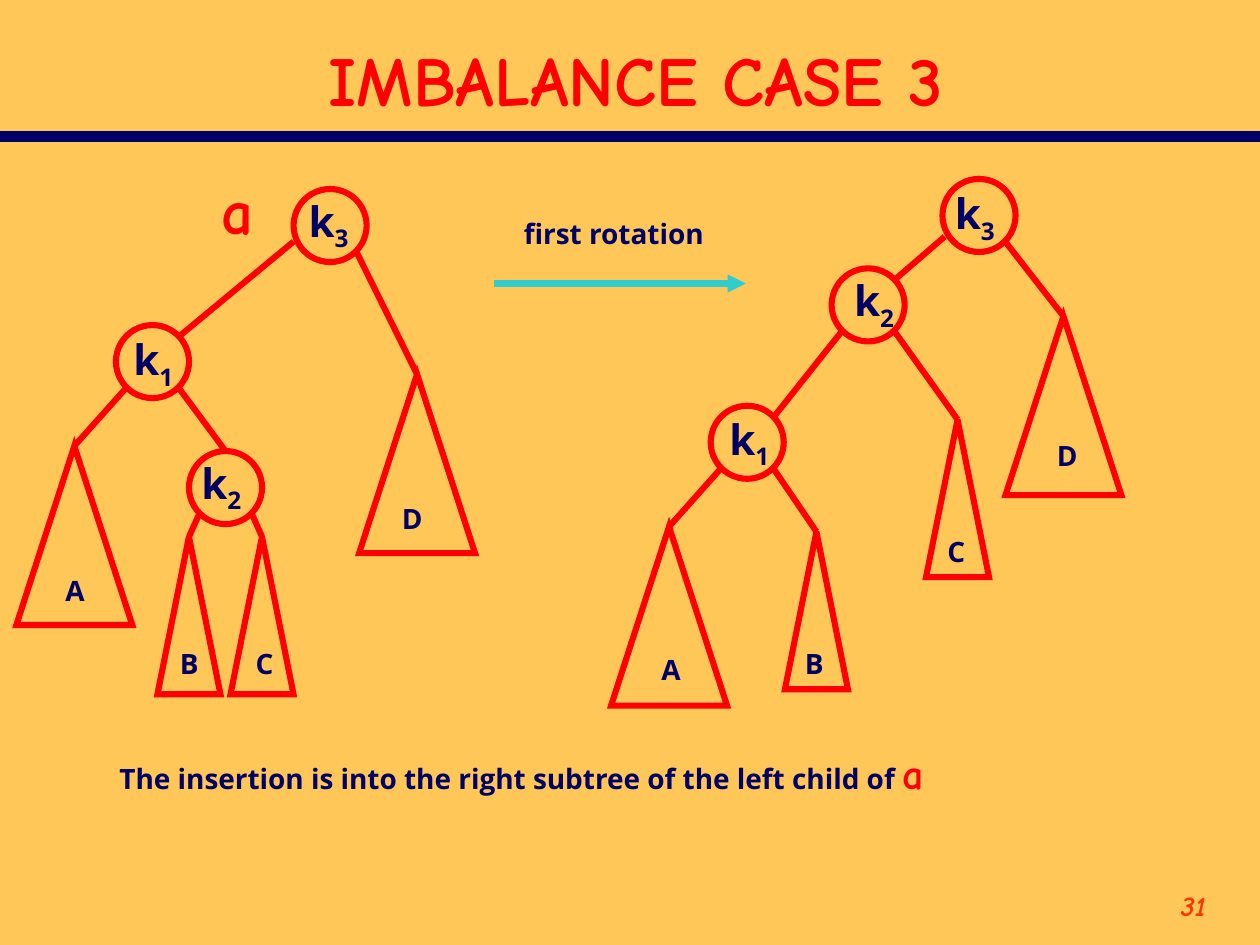
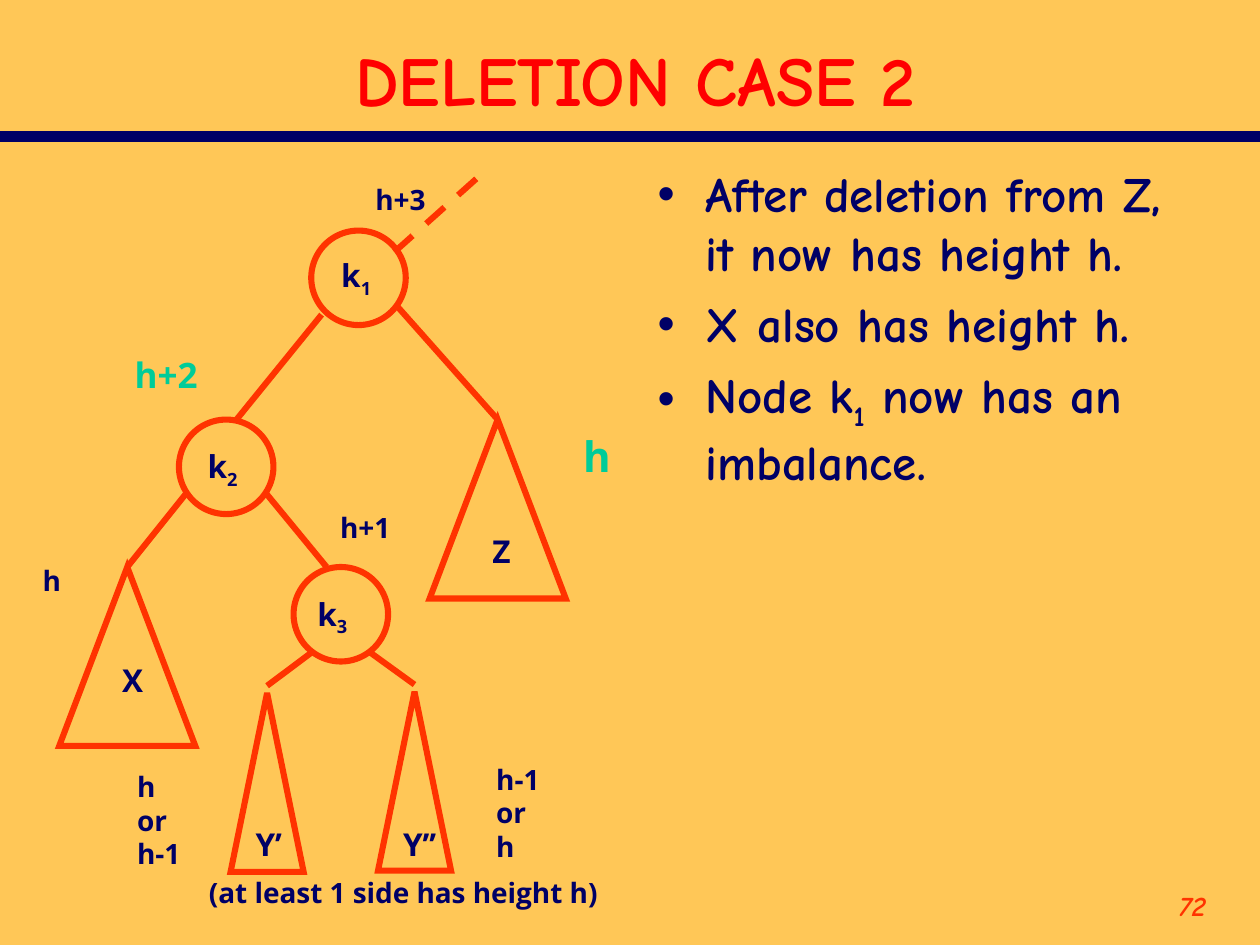
from dataclasses import dataclass

from lxml.etree import SubElement
from pptx import Presentation
from pptx.dml.color import RGBColor
from pptx.enum.dml import MSO_LINE
from pptx.enum.shapes import MSO_CONNECTOR, MSO_SHAPE
from pptx.enum.text import MSO_ANCHOR, MSO_AUTO_SIZE, PP_ALIGN
from pptx.oxml.ns import qn
from pptx.util import Inches, Pt

SAND = RGBColor(0xFF, 0xC7, 0x57)
NAVY = RGBColor(0x00, 0x00, 0x66)
RED = RGBColor(0xFF, 0x00, 0x00)
ORANGE = RGBColor(0xFF, 0x33, 0x00)
TURQUOISE = RGBColor(0x33, 0xCC, 0xCC)
GREEN = RGBColor(0x00, 0xCC, 0x99)

HAND = "Comic Neue"
SANS = "Open Sans"
COLUMNS, ROWS = 100, 75
WIDTH, HEIGHT = Inches(10), Inches(7.5)
TITLE_ONLY, TITLE_AND_BODY = 5, 1
FOOT_LEFT, FOOT_RIGHT = (0.14, 0.86), (0.86, 0.86)
SHOULDER_RIGHT = (0.86, 0.16)


@dataclass
class Region:
    left: float
    top: float
    columns: float
    rows: float

    def inner(self, left, top, columns, rows):
        return Region(self.left + left, self.top + top, columns, rows)

    def point(self, share):
        return self.left + share[0] * self.columns, self.top + share[1] * self.rows

    def emu(self):
        return (*to_emu(self.left, self.top), *to_emu(self.columns, self.rows))


def to_emu(column, row):
    return round(column * WIDTH / COLUMNS), round(row * HEIGHT / ROWS)


def write(frame, paragraphs, size=16, font=SANS, color=NAVY, bold=True,
          italic=False, align=PP_ALIGN.LEFT, gap=0):
    for index, runs in enumerate(paragraphs):
        paragraph = frame.paragraphs[0] if index == 0 else frame.add_paragraph()
        paragraph.alignment = align
        paragraph.space_before = Pt(gap if index else 0)
        for piece in [runs] if isinstance(runs, str) else runs:
            words, changes = (piece, {}) if isinstance(piece, str) else piece
            run = paragraph.add_run()
            run.text = words
            run.font.size = Pt(changes.get("size", size))
            run.font.name = changes.get("font", font)
            run.font.color.rgb = changes.get("color", color)
            run.font.bold = bold
            run.font.italic = italic
            if changes.get("subscript"):
                run._r.get_or_add_rPr().set("baseline", "-25000")


def indexed(letter, index):
    return [letter, (index, {"subscript": True})]


def add_label(slide, region, *paragraphs, **style):
    frame = slide.shapes.add_textbox(*region.emu()).text_frame
    frame.word_wrap = True
    write(frame, paragraphs, **style)


def add_line(slide, start, end, color, weight=3.5):
    line = slide.shapes.add_connector(
        MSO_CONNECTOR.STRAIGHT, *to_emu(*start), *to_emu(*end))
    line.line.color.rgb = color
    line.line.width = Pt(weight)
    SubElement(line._element.spPr, qn("a:effectLst"))
    return line


def add_outline(slide, preset, region, color):
    outline = slide.shapes.add_shape(preset, *region.emu())
    outline.shadow.inherit = False
    outline.fill.background()
    outline.line.color.rgb = color
    outline.line.width = Pt(3.5)
    SubElement(outline.line._get_or_add_ln(), qn("a:miter"), lim="800000")
    return outline


def place(placeholder, region, anchor):
    placeholder.left, placeholder.top, placeholder.width, placeholder.height = region.emu()
    frame = placeholder.text_frame
    frame.auto_size = MSO_AUTO_SIZE.NONE
    frame.word_wrap = True
    frame.vertical_anchor = anchor
    return frame


def start_slide(deck, layout, heading, number):
    slide = deck.slides.add_slide(deck.slide_layouts[layout])
    add_line(slide, (0, 10.83), (COLUMNS, 10.83), NAVY, weight=6)
    title = place(slide.shapes.title, Region(4.2, 2.5, 92.5, 7.5), MSO_ANCHOR.MIDDLE)
    write(title, [heading], size=40, font=HAND, color=RED, align=PP_ALIGN.CENTER)
    add_label(slide, Region(86.7, 70, 10, 5), number, font=HAND, color=ORANGE,
              italic=True, align=PP_ALIGN.RIGHT)
    return slide


def add_tree(slide, region, color, node_side, nodes, subtrees, edges, node_size, leaf_size):
    parts = {}
    for index, (left, top, shift, drop) in nodes.items():
        circle = region.inner(left, top, node_side, node_side)
        parts[index] = circle, add_outline(slide, MSO_SHAPE.OVAL, circle, color)
        add_label(slide, circle.inner(shift, drop, 5.8, 5.6),
                  indexed("k", index), size=node_size)
    for letter, (left, top, columns, rows, shift, drop) in subtrees.items():
        triangle = region.inner(left, top, columns, rows)
        parts[letter] = triangle, add_outline(
            slide, MSO_SHAPE.ISOSCELES_TRIANGLE, triangle, color)
        add_label(slide, triangle.inner(shift, drop, 5.5, 4), letter, size=leaf_size)
    for parent, start, child, *end in edges:
        parent_region = parts[parent][0]
        child_region, child_outline = parts[child]
        target = end[0] if end else (0.5, 0)
        edge = add_line(slide, parent_region.point(start), child_region.point(target), color)
        if not end:
            edge.end_connect(child_outline, 0)


def add_rotation_arrow(slide, region):
    add_label(slide, region.inner(1.4, 0, 18, 3.7), "first rotation")
    arrow = add_line(slide, region.point((0, 1)), region.point((1, 1)), TURQUOISE)
    SubElement(arrow.line._get_or_add_ln(), qn("a:tailEnd"), type="triangle")


def add_bullets(slide, region, points):
    frame = place(slide.placeholders[1], region, MSO_ANCHOR.TOP)
    write(frame, points, size=28, font=HAND, gap=7)
    for paragraph in frame.paragraphs:
        properties = paragraph._p.get_or_add_pPr()
        properties.set("marL", str(Inches(0.38)))
        properties.set("indent", str(-Inches(0.38)))
        bullet_color = SubElement(properties, qn("a:buClr"))
        SubElement(bullet_color, qn("a:srgbClr"), val=str(NAVY))
        SubElement(properties, qn("a:buChar"), char="•")


def add_heights(slide, region):
    for left, top, height, style in (
        (7.7, 14.6, "h+2", {"size": 20, "color": GREEN}),
        (43.3, 20.7, "h", {"size": 24, "color": GREEN}),
        (26.8, 1, "h+3", {}),
        (0.4, 31.2, "h", {}),
        (24, 27, "h+1", {}),
    ):
        add_label(slide, region.inner(left, top, 7.5, 4), height, **style)
    for left, top, choices in (
        (7.9, 47.6, ("h", "or", "h-1")),
        (36.4, 47, ("h-1", "or", "h")),
    ):
        add_label(slide, region.inner(left, top, 6, 9), *choices)
    add_label(slide, region.inner(13.6, 56, 36, 3.7), "(at least 1 side has height h)")


def build_imbalance(deck):
    slide = start_slide(deck, TITLE_ONLY, "IMBALANCE CASE 3", "31")
    before, after = Region(1, 13, 37, 43), Region(48, 14, 41, 43)
    wide, narrow = (9.2, 14.2), (5, 12.5)
    add_tree(
        slide, before, RED, 5.8,
        nodes={"3": (22.3, 2, 0.2, 0), "1": (8.2, 12.8, 0.4, 0.2), "2": (14, 22.8, 0, 0)},
        subtrees={
            "A": (0.3, 22.4, *wide, 2.9, 9.6), "D": (27.5, 16.7, *wide, 2.4, 9.6),
            "B": (11.5, 29.6, *narrow, 0.8, 8.2), "C": (17.3, 29.6, *narrow, 1, 8.2)},
        edges=[
            ("3", (0, 0.72), "1", SHOULDER_RIGHT), ("3", FOOT_RIGHT, "D"),
            ("1", FOOT_LEFT, "A"), ("1", FOOT_RIGHT, "2"),
            ("2", FOOT_LEFT, "B"), ("2", FOOT_RIGHT, "C")],
        node_size=24, leaf_size=16)
    add_label(slide, before.inner(15.6, 0.1, 5, 7), "a", size=36, font=HAND, color=RED)
    add_rotation_arrow(slide, Region(39.2, 16.7, 20, 5.8))
    add_tree(
        slide, after, RED, 5.8,
        nodes={"3": (26.8, 0.2, 0, 0.2), "2": (18, 7.3, 0.8, 0), "1": (8.4, 18.2, 0.5, 0.1)},
        subtrees={
            "A": (0.5, 27.8, *wide, 3, 9.5), "D": (31.8, 11.1, *wide, 3.1, 9.2),
            "B": (14.3, 28.2, *narrow, 0.6, 8.6), "C": (25.5, 19.3, *narrow, 0.7, 8.6)},
        edges=[
            ("3", (0.03, 0.79), "2", SHOULDER_RIGHT), ("3", FOOT_RIGHT, "D"),
            ("2", FOOT_LEFT, "1", SHOULDER_RIGHT), ("2", FOOT_RIGHT, "C"),
            ("1", FOOT_LEFT, "A"), ("1", FOOT_RIGHT, "B")],
        node_size=24, leaf_size=16)
    add_label(slide, Region(8.5, 58.8, 70, 9), [
        "The insertion is into the right subtree of the left child of ",
        ("a", {"size": 24, "font": HAND, "color": RED})])


def build_deletion(deck):
    slide = start_slide(deck, TITLE_AND_BODY, "DELETION CASE 2", "72")
    add_bullets(slide, Region(51.2, 12.5, 45.4, 59.2), [
        "After deletion from Z, it now has height h.",
        "X also has height h.",
        [*indexed("Node k", "1"), " now has an imbalance."]])
    tree = Region(2, 13, 48, 60)
    wide, narrow = (10.8, 14.2), (5.8, 14.2)
    add_tree(
        slide, tree, ORANGE, 7.5,
        nodes={"1": (22.7, 5.3, 1.4, 1.5), "2": (12.2, 20.3, 1.3, 1.7),
               "3": (21.3, 32, 0.9, 1.7)},
        subtrees={
            "X": (2.7, 32, *wide, 4, 7), "Z": (32.1, 20.3, *wide, 4, 8.4),
            "Y’": (16.3, 42, *narrow, 1, 10), "Y’’": (28, 41.9, *narrow, 1, 10.1)},
        edges=[
            ("1", (0.11, 0.89), "2", (0.61, 0)), ("1", (0.9, 0.79), "Z"),
            ("2", (0.07, 0.79), "X"), ("2", (0.93, 0.79), "3", (0.35, 0)),
            ("3", (0.21, 0.89), "Y’", (0.5, -0.04)),
            ("3", (0.79, 0.89), "Y’’", (0.5, -0.04))],
        node_size=18, leaf_size=18)
    link_region = tree.inner(29.3, 0.3, 7.5, 6.7)
    parent_link = add_line(
        slide, link_region.point((0, 1)), link_region.point((1, 0)), ORANGE)
    parent_link.line.dash_style = MSO_LINE.DASH
    add_heights(slide, tree)


def main():
    deck = Presentation()
    deck.slide_width, deck.slide_height = WIDTH, HEIGHT
    background = deck.slide_master.background.fill
    background.solid()
    background.fore_color.rgb = SAND
    build_imbalance(deck)
    build_deletion(deck)
    deck.save("out.pptx")


if __name__ == "__main__":
    main()
